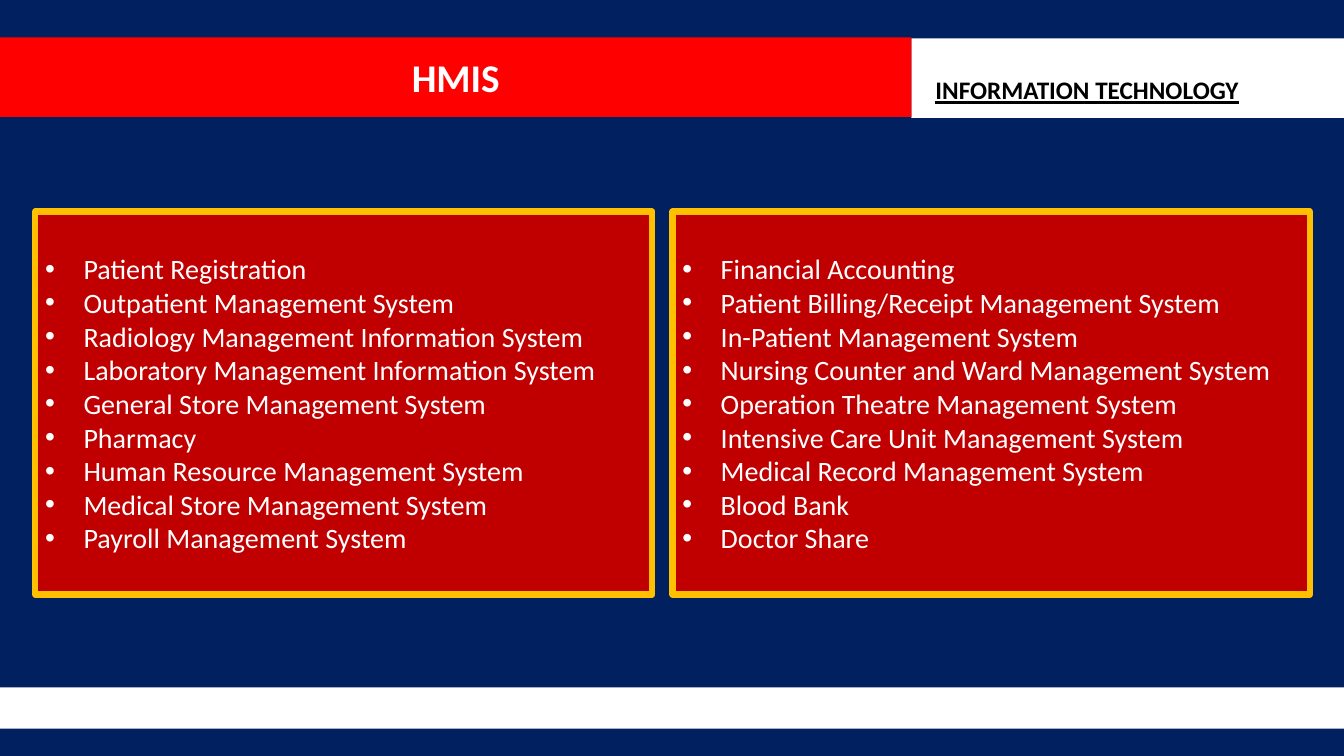
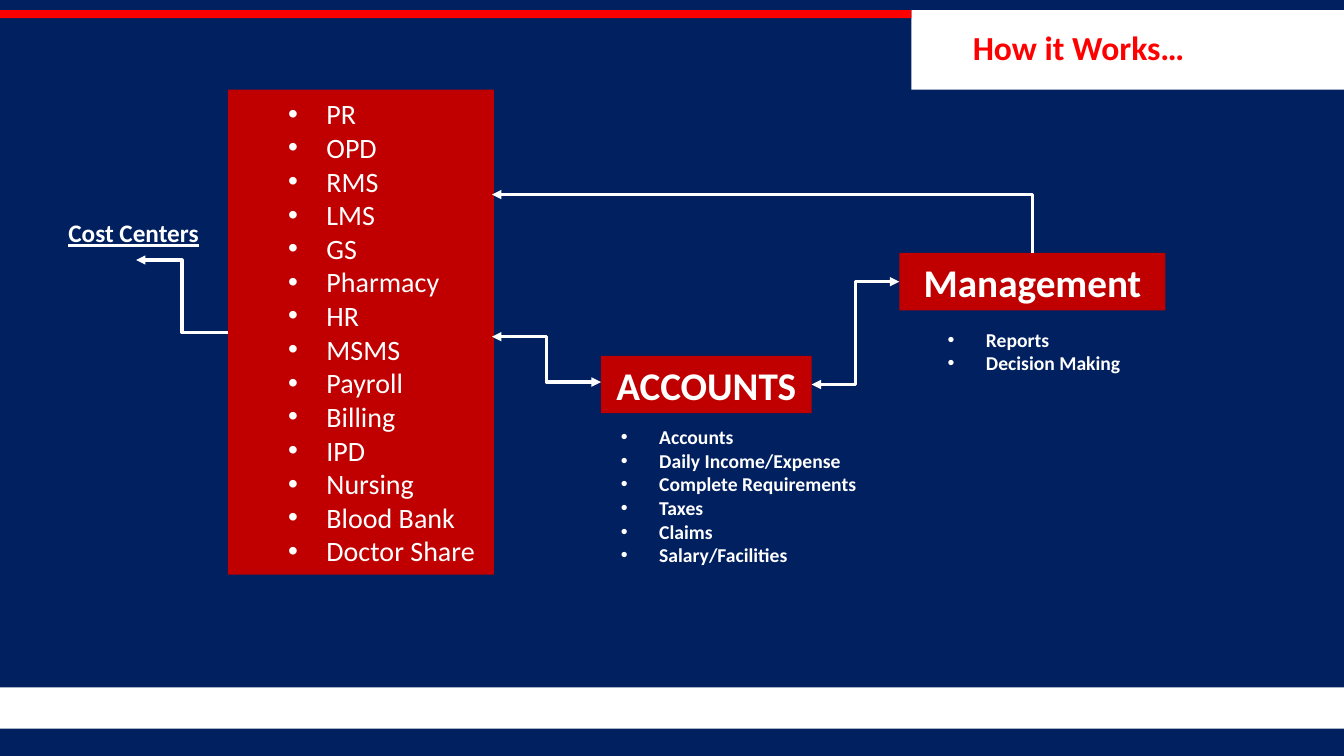
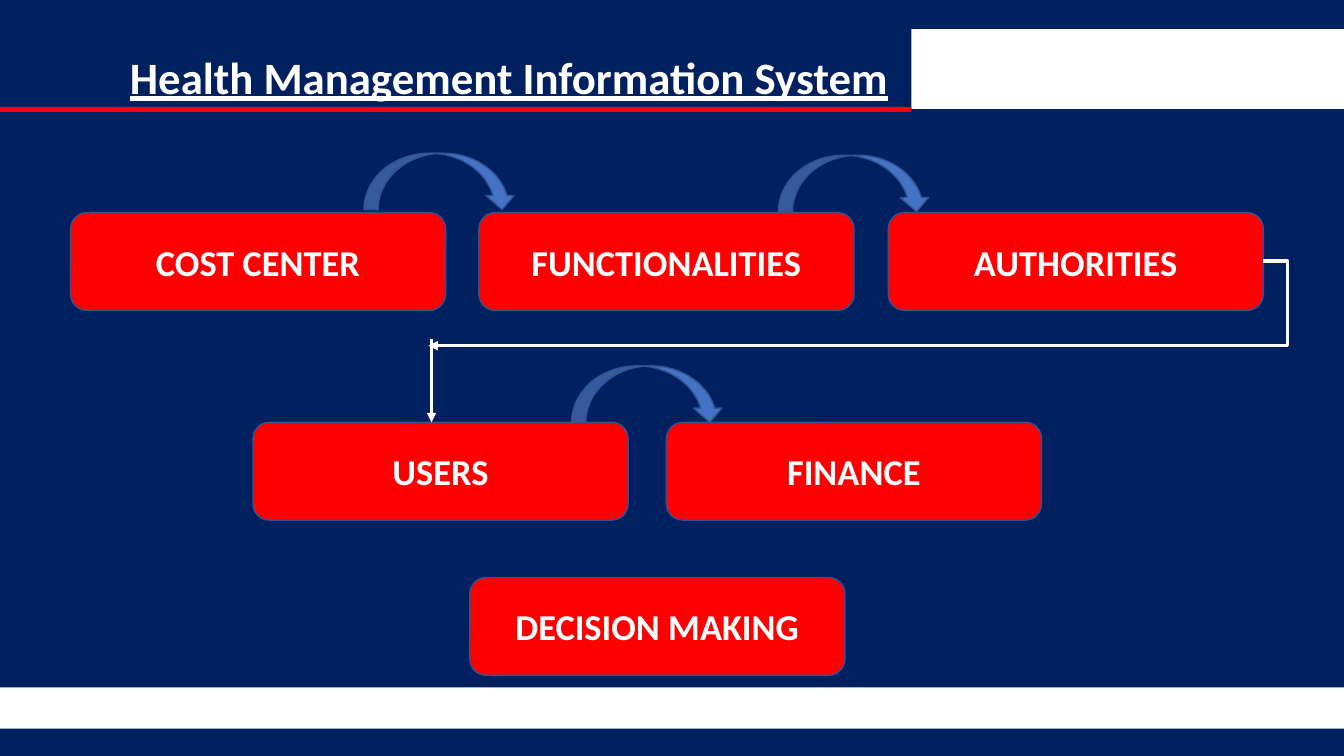
from lxml.etree import SubElement
from pptx import Presentation
from pptx.dml.color import RGBColor
from pptx.enum.shapes import MSO_CONNECTOR, MSO_SHAPE
from pptx.enum.text import MSO_ANCHOR, PP_ALIGN
from pptx.oxml.ns import qn
from pptx.util import Pt

# Palette
NAVY = RGBColor(0x00, 0x20, 0x60)
RED = RGBColor(0xFF, 0x00, 0x00)
DARK_RED = RGBColor(0xC0, 0x00, 0x00)
GOLD = RGBColor(0xFF, 0xC0, 0x00)
BLUE = RGBColor(0x44, 0x72, 0xC4)
EDGE_BLUE = RGBColor(0x32, 0x54, 0x91)
WHITE = RGBColor(0xFF, 0xFF, 0xFF)
BLACK = RGBColor(0x00, 0x00, 0x00)

# Layout: 100 px to the inch
SCALE = 9144
SLIDE_W, SLIDE_H = 1333, 750
SPLIT_X = 904
BAND_H = 79
FOOTER_Y, FOOTER_H = 682, 41
BULLET_INDENT = 38
NODE_W, NODE_H = 372, 97

# Text styles
FONT = "Calibri"
HEADING = {"size": Pt(28), "bold": True}
LIST = {"size": Pt(20)}
NOTE = {"size": Pt(14), "bold": True}
LABEL = {"size": Pt(18), "bold": True, "underline": True}
TOPIC = {"size": Pt(24), "bold": True}
TITLE = {"size": Pt(32), "bold": True, "underline": True}
NODE = {"size": Pt(26), "bold": True}


def px(n):
    return n * SCALE


class Deck:
    def __init__(self):
        self.prs = Presentation()
        self.prs.slide_width = px(SLIDE_W)
        self.prs.slide_height = px(SLIDE_H)
        self.s = None

    def slide(self, panel_y):
        """Start a slide with its footer band and white header panel."""
        self.s = self.prs.slides.add_slide(self.prs.slide_layouts[6])
        fill = self.s.background.fill
        fill.solid()
        fill.fore_color.rgb = NAVY
        self.shape((0, FOOTER_Y, SLIDE_W, FOOTER_H), WHITE)
        self.shape((SPLIT_X, panel_y, SLIDE_W - SPLIT_X, BAND_H), WHITE)

    def shape(self, box, fill, kind=MSO_SHAPE.RECTANGLE, edge=None, width=1):
        sp = self.s.shapes.add_shape(kind, *map(px, box))
        sp.shadow.inherit = False
        sp.fill.solid()
        sp.fill.fore_color.rgb = fill
        if edge is None:
            sp.line.fill.background()
        else:
            sp.line.color.rgb = edge
            sp.line.width = Pt(width)
        return sp

    def put_text(self, sp, lines, style, color=WHITE, align=PP_ALIGN.LEFT, bullet_at=None):
        """Fill a shape with paragraphs; bullet_at is the bullet's offset in px."""
        tf = sp.text_frame
        for i, line in enumerate(lines):
            p = tf.add_paragraph() if i else tf.paragraphs[0]
            p.alignment = align
            if bullet_at is not None:
                self.bullet(p, bullet_at)
            r = p.add_run()
            r.text = line
            r.font.name = FONT
            r.font.color.rgb = color
            for name, value in style.items():
                setattr(r.font, name, value)

    def bullet(self, p, offset):
        pPr = p._p.get_or_add_pPr()
        pPr.set("marL", str(px(offset + BULLET_INDENT)))
        pPr.set("indent", str(-px(BULLET_INDENT)))
        SubElement(pPr, qn("a:buFont")).set("typeface", "Arial")
        SubElement(pPr, qn("a:buChar")).set("char", "•")

    def text(self, box, lines, style, wrap=True, **kw):
        sp = self.s.shapes.add_textbox(*map(px, box))
        sp.text_frame.word_wrap = wrap
        sp.text_frame.vertical_anchor = MSO_ANCHOR.TOP
        self.put_text(sp, lines, style, **kw)

    def heading(self, box, line):
        sp = self.shape(box, DARK_RED)
        self.put_text(sp, [line], HEADING, align=PP_ALIGN.CENTER)
        return sp

    def node(self, line, x, y):
        sp = self.shape((x, y, NODE_W, NODE_H), RED, MSO_SHAPE.ROUNDED_RECTANGLE, EDGE_BLUE)
        self.put_text(sp, [line], NODE, align=PP_ALIGN.CENTER)

    def arrow(self, start, end, kind=MSO_CONNECTOR.ELBOW, heads=("tailEnd",),
              preset=None, adj=None):
        c = self.s.shapes.add_connector(kind, *map(px, start + end))
        c.line.color.rgb = WHITE
        c.line.width = Pt(2.25)
        spPr = c._element.spPr
        ln = spPr.find(qn("a:ln"))
        for head in heads:
            SubElement(ln, qn("a:" + head)).set("type", "triangle")
        SubElement(spPr, qn("a:effectLst"))
        geom = spPr.find(qn("a:prstGeom"))
        if preset:
            geom.set("prst", preset)
        if adj is not None:
            gd = SubElement(geom.find(qn("a:avLst")), qn("a:gd"))
            gd.set("name", "adj1")
            gd.set("fmla", f"val {adj}")
        return c


def modules_slide(d):
    d.slide(panel_y=38)
    band = d.shape((0, 37, SPLIT_X, BAND_H), RED)
    d.put_text(band, ["HMIS"], HEADING, align=PP_ALIGN.CENTER)
    d.text((918, 69, 329, 40), ["INFORMATION TECHNOLOGY"], LABEL, color=BLACK)

    # Two framed lists
    left = ["Patient Registration", "Outpatient Management System",
            "Radiology Management Information System",
            "Laboratory Management Information System",
            "General Store Management System", "Pharmacy",
            "Human Resource Management System", "Medical Store Management System",
            "Payroll Management System"]
    right = ["Financial Accounting", "Patient Billing/Receipt Management System",
             "In-Patient Management System", "Nursing Counter and Ward Management System",
             "Operation Theatre Management System", "Intensive Care Unit Management System",
             "Medical Record Management System", "Blood Bank", "Doctor Share"]
    for x, w, lines in ((35, 612, left), (667, 632, right)):
        sp = d.shape((x, 210, w, 380), DARK_RED, edge=GOLD, width=4.5)
        d.put_text(sp, lines, LIST, bullet_at=0)


def workflow_slide(d):
    d.slide(panel_y=10)
    d.shape((0, 10, SPLIT_X, 8), RED)
    d.text((955, 22, 232, 50), ["How it Works…"], TOPIC, wrap=False, color=RED)

    # Cost centers
    d.text((58, 211, 149, 40), ["Cost Centers"], LABEL, wrap=False)
    centers = d.shape((226, 89, 264, 481), DARK_RED)
    d.put_text(centers, ["PR", "OPD", "RMS", "LMS", "GS", "Pharmacy", "HR", "MSMS",
                         "Payroll", "Billing", "IPD", "Nursing", "Blood Bank",
                         "Doctor Share"], LIST, bullet_at=50)

    # Accounts and management
    accounts = d.heading((596, 353, 209, 57), "ACCOUNTS")
    management = d.heading((892, 251, 264, 57), "Management")
    d.text((606, 417, 258, 151),
           ["Accounts", "Daily Income/Expense", "Complete Requirements", "Taxes",
            "Claims", "Salary/Facilities"], NOTE, bullet_at=0)
    d.text((930, 320, 258, 57), ["Reports", "Decision Making"], NOTE, bullet_at=0)

    # Flow between the boxes
    both = ("headEnd", "tailEnd")
    d.arrow((226, 330), (135, 258))
    d.arrow((488, 334), (596, 379), heads=both)
    link = d.arrow((805, 381), (892, 280), heads=both)
    link.begin_connect(accounts, 3)
    link.end_connect(management, 1)
    d.arrow((488, 193), (1024, 251), heads=("headEnd",), preset="bentConnector2")


def system_slide(d):
    d.slide(panel_y=29)
    d.shape((0, 106, SPLIT_X, 5), RED)
    d.text((0, 44, 891, 64), ["Health Management Information System"], TITLE,
           align=PP_ALIGN.RIGHT)

    # Stages
    for line, x, y in (("COST CENTER", 70, 211), ("FUNCTIONALITIES", 475, 211),
                       ("AUTHORITIES", 881, 211), ("USERS", 251, 419),
                       ("FINANCE", 661, 419), ("DECISION MAKING", 466, 573)):
        d.node(line, x, y)

    # Arrows from stage to stage
    for x, y in ((361, 152), (772, 154), (567, 363)):
        d.shape((x, y, 151, 56), BLUE, MSO_SHAPE.CURVED_DOWN_ARROW, EDGE_BLUE)
    d.arrow((1253, 259), (425, 343), adj=-2900)
    d.arrow((428, 336), (428, 419), MSO_CONNECTOR.STRAIGHT)


def main():
    d = Deck()
    modules_slide(d)
    workflow_slide(d)
    system_slide(d)
    d.prs.save("out.pptx")


if __name__ == "__main__":
    main()
